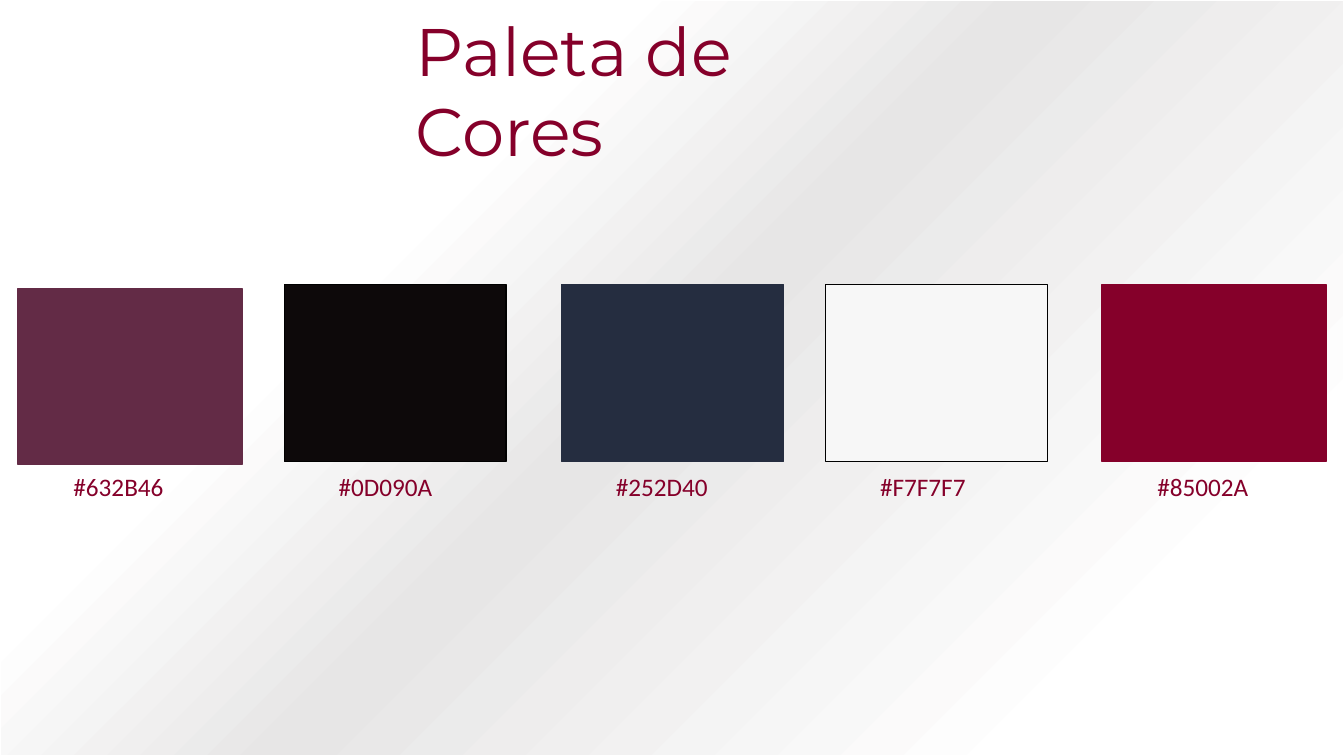
from copy import deepcopy

from pptx import Presentation
from pptx.dml.color import RGBColor
from pptx.enum import shapes, text
from pptx.util import Inches, Pt

WHITE = RGBColor(0xFF, 0xFF, 0xFF)
SILVER = RGBColor(0xE7, 0xE6, 0xE6)
BLACK = RGBColor(0x00, 0x00, 0x00)
PLUM = RGBColor(0x63, 0x2B, 0x46)
INK = RGBColor(0x0D, 0x09, 0x0A)
NAVY = RGBColor(0x25, 0x2D, 0x40)
PEARL = RGBColor(0xF7, 0xF7, 0xF7)
WINE = RGBColor(0x85, 0x00, 0x2A)

SLIDE_WIDTH, SLIDE_HEIGHT = 13.33, 7.5
LABEL_TOP, LABEL_WIDTH, LABEL_HEIGHT = 4.63, 1.32, 0.4

# left, top, width, height, fill, line
SWATCHES = [
    (0.18, 2.86, 2.22, 1.75, PLUM, PLUM),
    (2.82, 2.82, 2.2, 1.76, INK, BLACK),
    (5.57, 2.82, 2.2, 1.76, NAVY, NAVY),
    (8.19, 2.82, 2.2, 1.76, PEARL, BLACK),
    (10.93, 2.82, 2.22, 1.76, WINE, WINE),
]


class PaletteSlide:
    title_font = "Montserrat"
    label_font = "Calibri"
    text_color = WINE

    def __init__(self, presentation):
        self.slide = presentation.slides.add_slide(presentation.slide_layouts[5])

    def rectangle(self, left, top, width, height, line):
        shape = self.slide.shapes.add_shape(
            shapes.MSO_SHAPE.RECTANGLE,
            Inches(left), Inches(top), Inches(width), Inches(height))
        shape.shadow.inherit = False
        shape.line.color.rgb = line
        shape.line.width = Pt(1)
        return shape

    def background(self, stops):
        """Add a full-slide diagonal gradient behind everything else."""
        shape = self.rectangle(0, 0, SLIDE_WIDTH, SLIDE_HEIGHT, WHITE)
        shape.fill.gradient()
        shape.fill.gradient_angle = 315
        stop_list = shape._element.spPr.find(".//{*}gsLst")
        while len(stop_list) < len(stops):
            stop_list.append(deepcopy(stop_list[-1]))
        for stop, (position, color) in zip(shape.fill.gradient_stops, stops):
            stop.position = position
            stop.color.rgb = color
        self.slide.shapes._spTree.insert(2, shape._element)

    def add_words(self, shape, words, font, size):
        frame = shape.text_frame
        frame.word_wrap = True
        frame.auto_size = text.MSO_AUTO_SIZE.SHAPE_TO_FIT_TEXT
        frame.vertical_anchor = text.MSO_ANCHOR.TOP
        paragraph = frame.paragraphs[0]
        paragraph.alignment = text.PP_ALIGN.LEFT
        run = paragraph.add_run()
        run.text = words
        run.font.name = font
        run.font.size = Pt(size)
        run.font.color.rgb = self.text_color

    def title(self, words, left, top, width, height):
        shape = self.slide.shapes.title
        shape.left, shape.top = Inches(left), Inches(top)
        shape.width, shape.height = Inches(width), Inches(height)
        self.add_words(shape, words, self.title_font, 48)

    def swatch(self, left, top, width, height, fill, line):
        """Add a colour sample with its hex code centred below."""
        shape = self.rectangle(left, top, width, height, line)
        shape.fill.solid()
        shape.fill.fore_color.rgb = fill
        label = self.slide.shapes.add_textbox(
            Inches(left + (width - LABEL_WIDTH) / 2), Inches(LABEL_TOP),
            Inches(LABEL_WIDTH), Inches(LABEL_HEIGHT))
        self.add_words(label, f"#{fill}", self.label_font, 18)


def main():
    presentation = Presentation()
    presentation.slide_width = Inches(SLIDE_WIDTH)
    presentation.slide_height = Inches(SLIDE_HEIGHT)
    palette = PaletteSlide(presentation)
    palette.background([(0.3, WHITE), (0.49, SILVER), (0.85, WHITE)])
    palette.title("Paleta de Cores", 4.02, 0.04, 5.3, 0.91)
    for swatch in SWATCHES:
        palette.swatch(*swatch)
    presentation.save("out.pptx")


if __name__ == "__main__":
    main()
